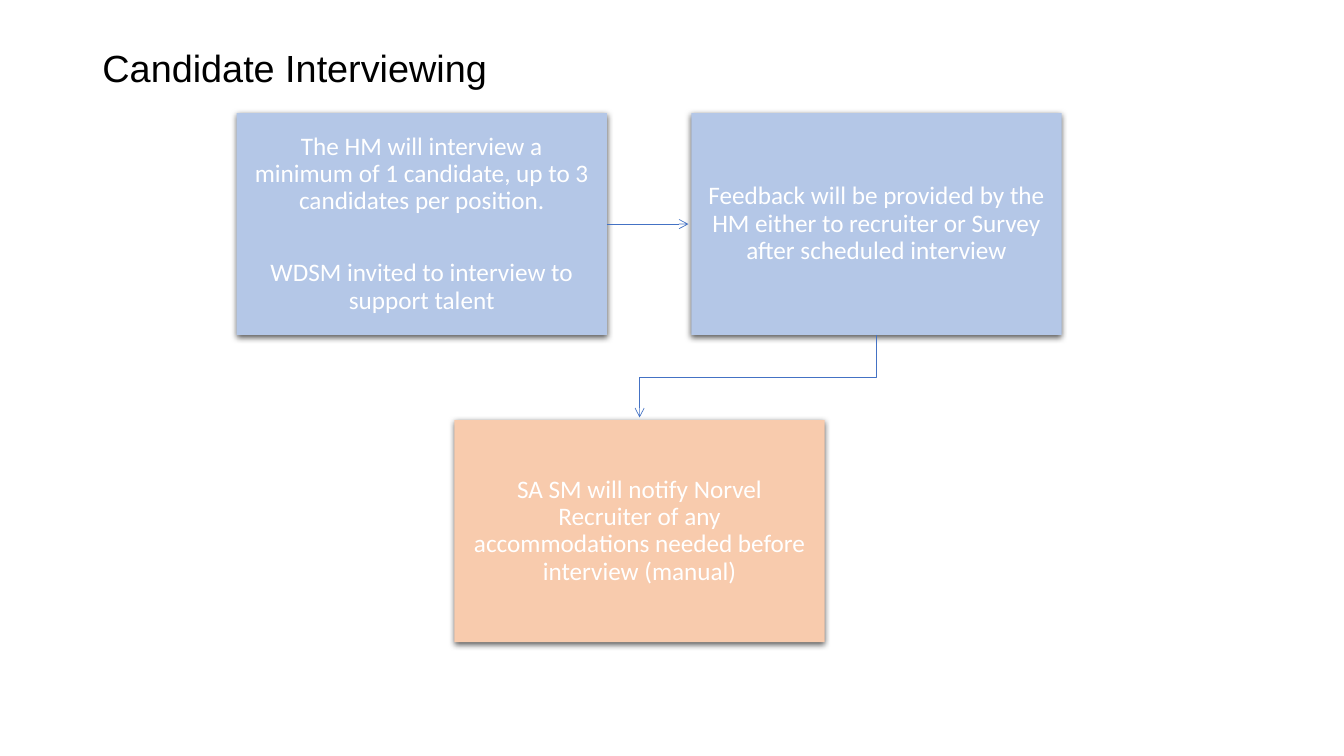
from collections import namedtuple
from lxml import etree
from pptx import Presentation
from pptx.dml.color import RGBColor as Rgb
from pptx.enum import shapes, text
from pptx.oxml import ns
from pptx.util import Pt

Theme = namedtuple("Theme", "blue peach line ink white head body")
look = Theme(
    blue=Rgb(0xB4, 0xC7, 0xE7), peach=Rgb(0xF8, 0xCB, 0xAD),
    line=Rgb(0x44, 0x72, 0xC4), ink=Rgb(0, 0, 0),
    white=Rgb(255, 255, 255), head=Pt(27), body=Pt(18))


def style(frame, face, size, color, align):
    frame.word_wrap = True
    frame.vertical_anchor = text.MSO_ANCHOR.MIDDLE
    for par in frame.paragraphs:
        par.alignment = align
        par.line_spacing = 0.9
        for run in par.runs:
            run.font.name = face
            run.font.size = size
            run.font.color.rgb = color


def arrow(shape):
    shape.line.color.rgb = look.line
    shape.line.width = Pt(0.5)
    tip = etree.SubElement(shape.line._get_or_add_ln(), ns.qn("a:tailEnd"))
    tip.set("type", "arrow")
    props = shape._element.spPr
    if props.find(ns.qn("a:effectLst")) is None:
        etree.SubElement(props, ns.qn("a:effectLst"))


deck = Presentation()
deck.slide_width, deck.slide_height = Pt(960), Pt(540)
slide = deck.slides.add_slide(deck.slide_layouts[5])

# Title
title = slide.shapes.title
title.left, title.top, title.width, title.height = Pt(66), Pt(28.8), Pt(828), Pt(42.5)
title.text_frame.text = "Candidate Interviewing"
style(title.text_frame, "Arial", look.head, look.ink, text.PP_ALIGN.LEFT)

# Step boxes: left, top, fill, text
wide, high = 264.5, 158.5
steps = [
    (169, 80.8, look.blue,
     "The HM will interview a minimum of 1 candidate, up to 3 candidates per position.\n"
     "WDSM invited to interview to support talent"),
    (493.8, 80.8, look.blue,
     "Feedback will be provided by the HM either to recruiter or Survey "
     "after scheduled interview"),
    (324.6, 300.2, look.peach,
     "SA SM will notify Norvel Recruiter of any accommodations needed "
     "before interview (manual)"),
]
boxes = []
for left, top, fill, words in steps:
    box = slide.shapes.add_shape(
        shapes.MSO_SHAPE.RECTANGLE, Pt(left), Pt(top), Pt(wide), Pt(high))
    box.fill.solid()
    box.fill.fore_color.rgb = fill
    box.line.fill.background()
    box.shadow.inherit = False
    glow = etree.SubElement(
        box._element.spPr.find(ns.qn("a:effectLst")), ns.qn("a:outerShdw"),
        blurRad=str(Pt(4.5)), dist=str(Pt(1.5)), dir="5400000", rotWithShape="0")
    tint = etree.SubElement(glow, ns.qn("a:srgbClr"), val="000000")
    etree.SubElement(tint, ns.qn("a:alpha"), val="63000")

    frame = box.text_frame
    frame.text = words
    frame.margin_left = frame.margin_right = Pt(10.2)
    frame.margin_top = frame.margin_bottom = Pt(10.2)
    style(frame, "Calibri", look.body, look.white, text.PP_ALIGN.CENTER)
    for par in frame.paragraphs[:-1]:
        par.space_after = Pt(32)
    boxes.append(box)

# Arrow from interview to feedback, stopping just short of the box
gap = 2
mid = Pt(80.8 + high / 2)
link = slide.shapes.add_connector(
    shapes.MSO_CONNECTOR.STRAIGHT, Pt(169 + wide), mid, boxes[1].left - Pt(gap), mid)
link.begin_connect(boxes[0], 3)
arrow(link)

# Bent arrow from feedback down to accommodations
start = 493.8 + wide / 2
end = 324.6 + wide / 2
low = 80.8 + high
turn = (low + 300.2) / 2
pen = slide.shapes.build_freeform(Pt(start), Pt(low))
pen.add_line_segments(
    [(Pt(start), Pt(turn)), (Pt(end), Pt(turn)), (Pt(end), Pt(300.2 - gap))], close=False)
bend = pen.convert_to_shape()
bend.fill.background()
bend.shadow.inherit = False
arrow(bend)

deck.save("out.pptx")
